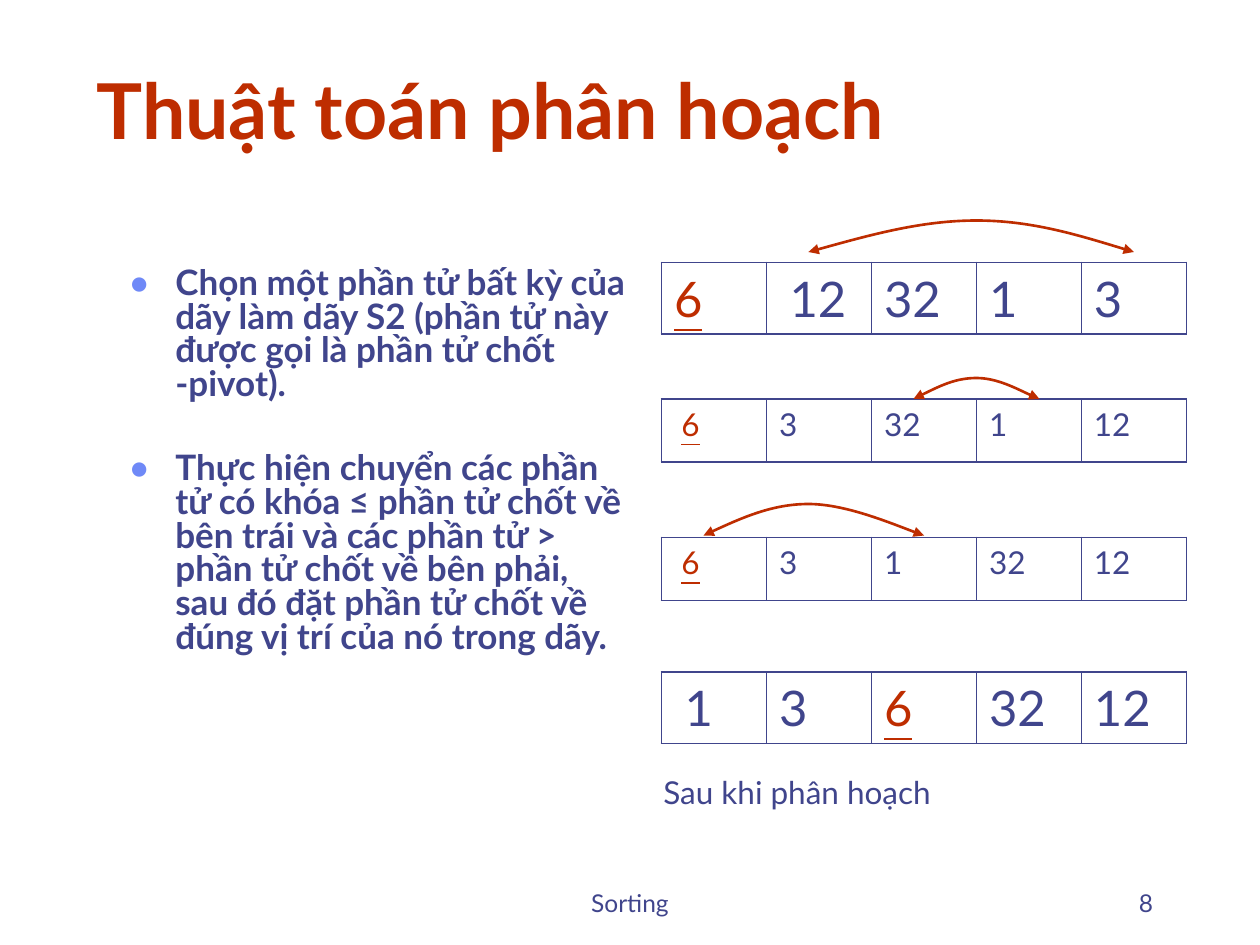
from dataclasses import dataclass

from lxml.etree import SubElement
from pptx import Presentation
from pptx.dml.color import RGBColor
from pptx.enum.text import MSO_ANCHOR as Anchor, MSO_AUTO_SIZE as AutoSize, PP_ALIGN as Align
from pptx.oxml.ns import qn
from pptx.util import Emu, Pt

PX = 7620  # 120 px to the inch
FONT = "Lato"
INK, RED, BULLET = "40458C", "BE2D00", "6F89F7"
TABLE_X, COL_W = 630, 100
INSET = 12
THICK, THIN = 1.08, 0.45


@dataclass
class ArrayRow:
    y: int
    h: int
    size: int
    values: list[str]
    pivot: int  # column of the pivot
    shifted: int  # column whose text is set in a little
    shift: int


@dataclass
class SwapArc:
    start: tuple[int, int]
    curve: list[tuple[int, int]]  # two controls and an end, repeated


@dataclass
class Label:
    text: str
    box: tuple[int, int, int, int]
    size: int
    align: Align
    anchor: Anchor


ROWS = [
    ArrayRow(250, 68, 28, ["6", "12", "32", "1", "3"], 0, 1, 10),
    ArrayRow(380, 60, 18, ["6", "3", "32", "1", "12"], 0, 0, 7),
    ArrayRow(512, 60, 18, ["6", "3", "1", "32", "12"], 0, 0, 7),
    ArrayRow(640, 68, 28, ["1", "3", "6", "32", "12"], 2, 0, 10),
]
ARCS = [
    SwapArc((770, 240), [(824, 225), (878, 210), (930, 210),
                         (982, 210), (1031, 225), (1080, 240)]),
    SwapArc((870, 380), [(890, 370), (910, 360), (930, 360),
                         (950, 360), (982, 377), (990, 380)]),
    SwapArc((670, 510), [(702, 495), (736, 480), (770, 480),
                         (805, 480), (860, 503), (880, 510)]),
]
LABELS = [
    Label("Sau khi phân hoạch", (620, 730, 460, 48), 18, Align.JUSTIFY, Anchor.TOP),
    Label("Sorting", (410, 820, 380, 60), 14, Align.CENTER, Anchor.BOTTOM),
    Label("8", (860, 820, 250, 60), 14, Align.RIGHT, Anchor.BOTTOM),
]
BODY = [
    "Chọn một phần tử bất kỳ của dãy làm dãy S2 (phần tử này được gọi là phần tử chốt -pivot).",
    "Thực hiện chuyển các phần tử có khóa ≤ phần tử chốt về bên trái và các phần tử > "
    "phần tử chốt về bên phải, sau đó đặt phần tử chốt về đúng vị trí của nó trong dãy.",
]


def px(n: int) -> Emu:
    return Emu(n * PX)


def rgb(color: str) -> RGBColor:
    return RGBColor.from_string(color)


def add_run(p, text: str, size: int, color: str = INK, bold: bool = False,
            underline: bool = False) -> None:
    r = p.add_run()
    r.text = text
    f = r.font
    f.name, f.size, f.bold, f.underline = FONT, Pt(size), bold, underline
    f.color.rgb = rgb(color)


def place(sp, x: int, y: int, w: int, h: int) -> None:
    sp.left, sp.top, sp.width, sp.height = px(x), px(y), px(w), px(h)


def add_bullet(p) -> None:
    pPr = p._p.get_or_add_pPr()
    pPr.set("marL", str(px(45)))
    pPr.set("indent", str(px(-45)))
    SubElement(SubElement(pPr, qn("a:buClr")), qn("a:srgbClr"), val=BULLET)
    SubElement(pPr, qn("a:buSzPct"), val="110000")
    SubElement(pPr, qn("a:buFont"), typeface=FONT)
    SubElement(pPr, qn("a:buChar"), char="•")


def fill_title(sp) -> None:
    place(sp, 80, 40, 1020, 114)
    tf = sp.text_frame
    tf.auto_size, tf.vertical_anchor = AutoSize.NONE, Anchor.BOTTOM
    p = tf.paragraphs[0]
    p.alignment = Align.LEFT
    add_run(p, "Thuật toán phân hoạch", 44, RED, bold=True)


def fill_body(sp) -> None:
    place(sp, 110, 250, 500, 540)
    tf = sp.text_frame
    tf.auto_size = AutoSize.NONE
    for i, text in enumerate(BODY):
        p = tf.add_paragraph() if i else tf.paragraphs[0]
        add_bullet(p)
        p.line_spacing = 0.8
        p.space_before = Pt(29 if i else 0)
        add_run(p, text, 20, bold=True)


def add_border(cell, side: str, width: float) -> None:
    ln = SubElement(cell._tc.get_or_add_tcPr(), qn(f"a:ln{side}"), w=str(Pt(width)))
    SubElement(SubElement(ln, qn("a:solidFill")), qn("a:srgbClr"), val=INK)


def add_array(slide, row: ArrayRow) -> None:
    n = len(row.values)
    tbl = slide.shapes.add_table(1, n, px(TABLE_X), px(row.y), px(n * COL_W), px(row.h)).table
    tbl.first_row = tbl.horz_banding = False
    for i, value in enumerate(row.values):
        cell = tbl.cell(0, i)
        add_border(cell, "L", THICK if i == 0 else THIN)
        add_border(cell, "R", THICK if i == n - 1 else THIN)
        add_border(cell, "T", THICK)
        add_border(cell, "B", THICK)
        cell.fill.background()
        cell.margin_left = px(INSET + (row.shift if i == row.shifted else 0))
        is_pivot = i == row.pivot
        add_run(cell.text_frame.paragraphs[0], value, row.size,
                RED if is_pivot else INK, underline=is_pivot)


def add_arc(slide, arc: SwapArc) -> None:
    fb = slide.shapes.build_freeform(*arc.start, scale=PX)
    fb.add_line_segments(arc.curve, close=False)
    sp = fb.convert_to_shape()
    sp.shadow.inherit = False
    sp.fill.background()
    sp.line.color.rgb = rgb(RED)
    sp.line.width = Pt(1.5)
    # Each three points become one Bézier segment
    outline = next(sp._element.iter(qn("a:path")))
    lines = outline.findall(qn("a:lnTo"))
    for i in range(0, len(lines), 3):
        bezier = SubElement(outline, qn("a:cubicBezTo"))
        for line in lines[i:i + 3]:
            bezier.append(line[0])
            outline.remove(line)
    ln = sp.line._get_or_add_ln()
    for end in ("headEnd", "tailEnd"):
        SubElement(ln, qn(f"a:{end}"), type="triangle")


def add_label(slide, label: Label) -> None:
    tf = slide.shapes.add_textbox(*map(px, label.box)).text_frame
    tf.word_wrap = True
    tf.vertical_anchor = label.anchor
    p = tf.paragraphs[0]
    p.alignment = label.align
    add_run(p, label.text, label.size)


def main() -> None:
    prs = Presentation()
    prs.slide_width, prs.slide_height = px(1200), px(900)
    slide = prs.slides.add_slide(prs.slide_layouts[1])

    # Title and bullet list
    fill_title(slide.shapes.title)
    fill_body(slide.placeholders[1])

    # Array states, swap arrows, caption and footer
    for row in ROWS:
        add_array(slide, row)
    for arc in ARCS:
        add_arc(slide, arc)
    for label in LABELS:
        add_label(slide, label)
    prs.save("out.pptx")


if __name__ == "__main__":
    main()
